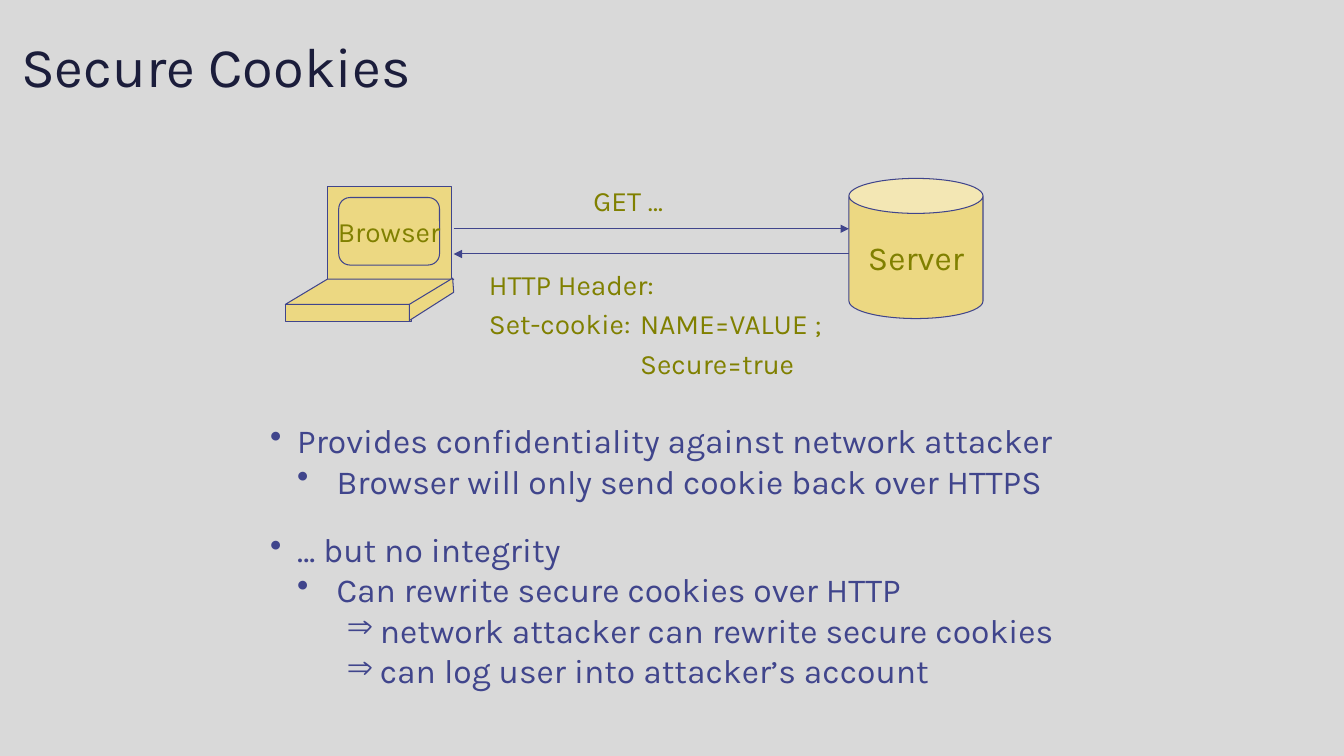
from dataclasses import dataclass

from lxml import etree
from pptx import Presentation
from pptx.dml.color import RGBColor
from pptx.enum.shapes import MSO_CONNECTOR, MSO_SHAPE
from pptx.enum.text import MSO_ANCHOR, MSO_AUTO_SIZE, PP_ALIGN
from pptx.oxml.ns import qn
from pptx.util import Pt

PX = 9144  # 100 px to the inch
FONT = "Karla"
GREY, NAVY, INDIGO, SAND, OLIVE = "D9D9D9", "1B1D3B", "40458C", "ECD882", "808000"
LEFT, CENTER = PP_ALIGN.LEFT, PP_ALIGN.CENTER
RECT, ROUNDED = MSO_SHAPE.RECTANGLE, MSO_SHAPE.ROUNDED_RECTANGLE
SLANTED, CYLINDER = MSO_SHAPE.PARALLELOGRAM, MSO_SHAPE.CAN
STRAIGHT = MSO_CONNECTOR.STRAIGHT
TOP, MIDDLE, BOTTOM = MSO_ANCHOR.TOP, MSO_ANCHOR.MIDDLE, MSO_ANCHOR.BOTTOM
NO_AUTOFIT = MSO_AUTO_SIZE.NONE


@dataclass
class Part:
    kind: int
    left: int
    top: int
    width: int
    height: int
    adjustment: float | None = None
    label: str = ""
    size: int = 20


@dataclass
class Level:
    bullet: str
    margin: int
    hanging: int


@dataclass
class Point:
    level: int
    text: str
    before: float = 0


@dataclass
class Arrow:
    y: int
    end: str


LEVELS = [Level("•", 27, 27), Level("•", 66, 39), Level("⇒", 109, 33)]
POINTS = [
    Point(0, "Provides confidentiality against network attacker"),
    Point(1, "Browser will only send cookie back over HTTPS"),
    Point(0, "… but no integrity", 20),
    Point(1, "Can rewrite secure cookies over HTTP"),
    Point(2, "network attacker can rewrite secure cookies"),
    Point(2, "can log user into attacker’s account"),
]
LAPTOP = [
    Part(RECT, 325, 185, 123, 92),
    Part(ROUNDED, 336, 196, 100, 67, 0.167, "Browser"),
    Part(SLANTED, 283, 277, 167, 25, 1.667),
    Part(RECT, 283, 302, 125, 17),
]
LAPTOP_SIDE = [(406, 318), (450, 290), (449, 276), (406, 302)]
SERVER = Part(CYLINDER, 842, 177, 133, 139, 0.261, "Server", 24)
ARROWS = [Arrow(227, "tailEnd"), Arrow(252, "headEnd")]
ARROW_LEFT, ARROW_RIGHT = 450, 842
HEADER_LINES = ["HTTP Header:", "Set-cookie:\tNAME=VALUE ;", "\tSecure=true"]


def color(value: str) -> RGBColor:
    return RGBColor.from_string(value)


def style_text(para, size: int, text_color: str, align=LEFT, before: float = 0) -> None:
    para.alignment = align
    if before:
        para.space_before = Pt(before)
    para.font.name = FONT
    para.font.size = Pt(size)
    para.font.color.rgb = color(text_color)


def style_outline(shape) -> None:
    shape.shadow.inherit = False
    shape.fill.solid()
    shape.fill.fore_color.rgb = color(SAND)
    shape.line.color.rgb = color(INDIGO)
    shape.line.width = Pt(0.75)


def add_part(page, part: Part) -> None:
    shape = page.shapes.add_shape(
        part.kind, part.left * PX, part.top * PX, part.width * PX, part.height * PX)
    style_outline(shape)
    if part.adjustment is not None:
        shape.adjustments[0] = part.adjustment
    if part.label:
        frame = shape.text_frame
        frame.word_wrap = False
        frame.vertical_anchor = MIDDLE
        frame.text = part.label
        style_text(frame.paragraphs[0], part.size, OLIVE, CENTER)


def add_arrow(page, arrow: Arrow) -> None:
    line = page.shapes.add_connector(
        STRAIGHT, ARROW_LEFT * PX, arrow.y * PX, ARROW_RIGHT * PX, arrow.y * PX)
    line.line.color.rgb = color(INDIGO)
    line.line.width = Pt(0.75)
    etree.SubElement(line.line._get_or_add_ln(), qn(f"a:{arrow.end}"), type="triangle")
    etree.SubElement(line._element.spPr, qn("a:effectLst"))


def add_text_box(page, left: int, top: int, width: int, height: int,
                 lines: list[str], wrap: bool = True):
    box = page.shapes.add_textbox(left * PX, top * PX, width * PX, height * PX)
    frame = box.text_frame
    frame.word_wrap = wrap
    frame.vertical_anchor = TOP
    frame.text = "\n".join(lines)
    return frame.paragraphs


def add_bullet(para, level: Level) -> None:
    properties = para._p.get_or_add_pPr()
    properties.set("marL", str(level.margin * PX))
    properties.set("indent", str(-level.hanging * PX))
    etree.SubElement(properties, qn("a:buChar"), char=level.bullet)


def add_tab(para, position: int) -> None:
    tabs = etree.SubElement(para._p.get_or_add_pPr(), qn("a:tabLst"))
    etree.SubElement(tabs, qn("a:tab"), pos=str(position * PX), algn="l")


def main() -> None:
    deck = Presentation()
    deck.slide_width, deck.slide_height = 1333 * PX, 750 * PX
    page = deck.slides.add_slide(deck.slide_layouts[5])
    page.background.fill.solid()
    page.background.fill.fore_color.rgb = color(GREY)

    # Title
    title = page.shapes.title
    title.left, title.top, title.width, title.height = 11 * PX, 11 * PX, 850 * PX, 92 * PX
    title.text_frame.text = "Secure Cookies"
    title.text_frame.vertical_anchor = BOTTOM
    title.text_frame.auto_size = NO_AUTOFIT
    style_text(title.text_frame.paragraphs[0], 40, NAVY)

    # Browser laptop and server
    for part in LAPTOP:
        add_part(page, part)
    builder = page.shapes.build_freeform(*LAPTOP_SIDE[0], scale=PX)
    builder.add_line_segments(LAPTOP_SIDE[1:], close=True)
    style_outline(builder.convert_to_shape())
    add_part(page, SERVER)

    # Request and response
    for arrow in ARROWS:
        add_arrow(page, arrow)
    request = add_text_box(page, 572, 177, 102, 43, ["GET …"], wrap=False)
    style_text(request[0], 20, OLIVE, CENTER)
    response = add_text_box(page, 475, 260, 525, 125, HEADER_LINES)
    for index, para in enumerate(response):
        add_tab(para, 150)
        style_text(para, 20, OLIVE, before=4.5 if index else 0)

    # Bullet points
    bullets = add_text_box(page, 258, 412, 850, 285, [point.text for point in POINTS])
    for para, point in zip(bullets, POINTS):
        add_bullet(para, LEVELS[point.level])
        style_text(para, 24, INDIGO, before=point.before)

    deck.save("out.pptx")


if __name__ == "__main__":
    main()
